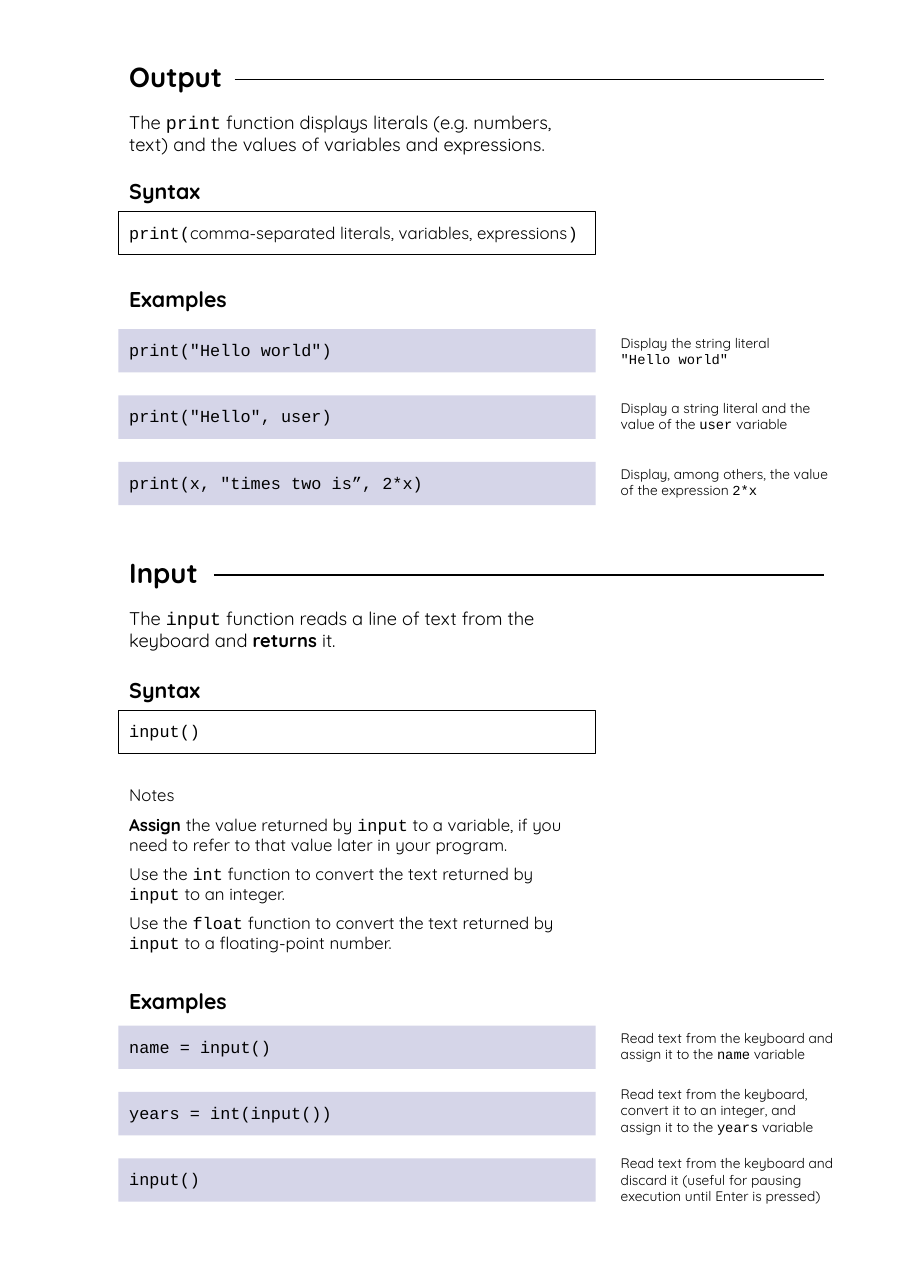
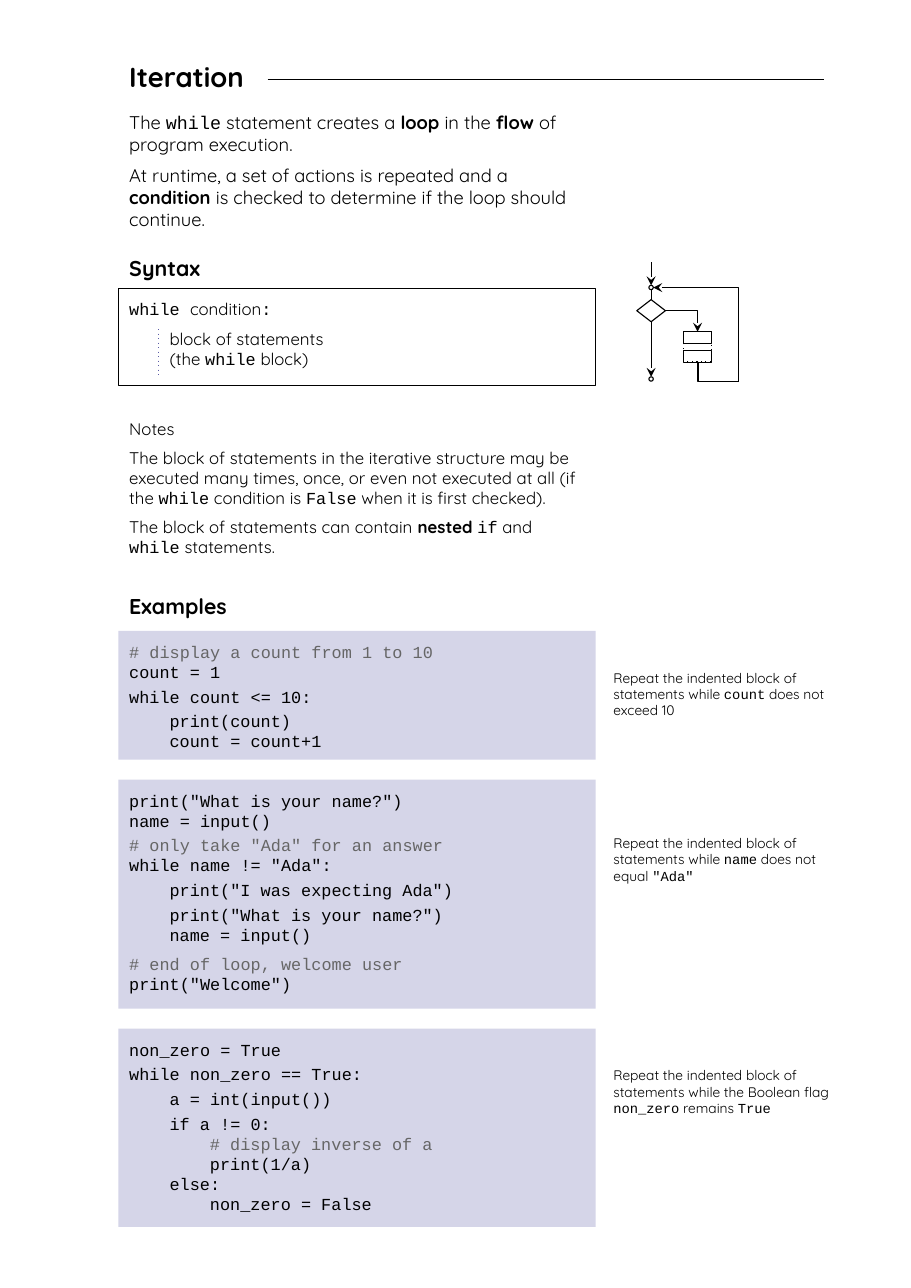
from dataclasses import dataclass

from lxml.etree import SubElement
from pptx import Presentation
from pptx.dml.color import RGBColor
from pptx.enum.shapes import MSO_CONNECTOR, MSO_SHAPE
from pptx.enum.text import MSO_ANCHOR, PP_ALIGN
from pptx.oxml.ns import qn
from pptx.util import Cm, Pt

RECT, OVAL, DECISION = MSO_SHAPE.RECTANGLE, MSO_SHAPE.OVAL, MSO_SHAPE.FLOWCHART_DECISION
STRAIGHT, ELBOW = MSO_CONNECTOR.STRAIGHT, MSO_CONNECTOR.ELBOW
TOP, LEFT = MSO_ANCHOR.TOP, PP_ALIGN.LEFT

INK, COMMENT, ACCENT, PAPER = "000000", "666666", "5B5BA5", "FFFFFF"
SANS, MONO = "Quicksand", "Courier New"
LINE_PITCH = 1.19
LINE_WIDTH = 0.75

# Shared layout, in centimetres
COLUMN_LEFT, COLUMN_WIDTH = 2.73, 11.0
SIDE_WIDTH, SIDE_HEIGHT = 5.51, 1.5
RULE_RIGHT, RULE_DROP = 19.0, 0.64
HEADING_HEIGHT, SYNTAX_HEADING_RISE = 0.7, 0.76
INDENT = 0.93
SINGLE_LINE = 1.0


@dataclass
class Para:
    """Text in which `x` is code and **x** is bold."""
    text: str
    size: float = 11
    before: float = 0
    level: int = 0
    bold: bool = False
    color: str = INK


@dataclass
class Example:
    top: float
    code: list[tuple[str, int]]  # source line, space before
    side_top: float
    side: list[str]
    height: float = SINGLE_LINE


@dataclass
class Section:
    title: str
    top: float
    rule_left: float
    intro: list[str]
    intro_height: float
    syntax: list[Para]
    syntax_top: float
    examples_top: float
    examples: list[Example]
    side_left: float
    syntax_height: float = SINGLE_LINE
    remarks: tuple[str, ...] = ()
    remarks_top: float = 0
    remarks_height: float = 0


def rgb(color: str) -> RGBColor:
    return RGBColor.from_string(color)


def set_line(item, color: str, dotted: bool = False, arrow: bool = False) -> None:
    item.line.color.rgb = rgb(color)
    item.line.width = Pt(LINE_WIDTH)
    ln = item._element.spPr.find(qn("a:ln"))
    if dotted:
        SubElement(ln, qn("a:prstDash"), val="dot")
    if arrow:
        SubElement(ln, qn("a:tailEnd"), type="stealth")


def add_box(slide, left: float, top: float, width: float, height: float, kind=RECT,
            fill: str | None = None, alpha: int = 100, line: str | None = None,
            dotted: bool = False):
    box = slide.shapes.add_shape(kind, Cm(left), Cm(top), Cm(width), Cm(height))
    box.shadow.inherit = False
    if fill:
        box.fill.solid()
        box.fill.fore_color.rgb = rgb(fill)
        if alpha < 100:
            tint = box._element.spPr.find(qn("a:solidFill"))[0]
            SubElement(tint, qn("a:alpha"), val=str(alpha * 1000))
    else:
        box.fill.background()
    if line:
        set_line(box, line, dotted)
    else:
        box.line.fill.background()
    return box


def add_link(slide, x1: float, y1: float, x2: float, y2: float, rotation: int = 0,
             kind=STRAIGHT, color: str = INK, dotted: bool = False,
             arrow: bool = False) -> None:
    link = slide.shapes.add_connector(kind, Cm(x1), Cm(y1), Cm(x2), Cm(y2))
    set_line(link, color, dotted, arrow)
    properties = link._element.spPr
    if kind == ELBOW:
        properties.find(qn("a:prstGeom")).set("prst", "bentConnector2")
        properties.find(qn("a:xfrm")).set("rot", str(rotation * 60000))
    SubElement(properties, qn("a:effectLst"))


def split_runs(text: str) -> list[tuple[str, str, bool]]:
    """Return (text, font, bold) for each stretch of marked text."""
    runs = []
    for i, stretch in enumerate(text.split("`")):
        if i % 2:
            runs.append((stretch, MONO, False))
        else:
            runs += [(part, SANS, j % 2 == 1) for j, part in enumerate(stretch.split("**"))]
    return [run for run in runs if run[0]]


def write(box, paras: list[Para], inset_top: float, inset_bottom: float = 0) -> None:
    frame = box.text_frame
    frame.word_wrap = True
    frame.vertical_anchor = TOP
    frame.margin_left = frame.margin_right = Cm(0.25)
    frame.margin_top, frame.margin_bottom = Cm(inset_top), Cm(inset_bottom)
    for i, para in enumerate(paras):
        paragraph = frame.add_paragraph() if i else frame.paragraphs[0]
        paragraph.alignment = LEFT
        paragraph.space_before = Pt(para.before)
        paragraph.line_spacing = Pt(round(para.size * LINE_PITCH, 1))
        if para.level:
            indent = Cm(INDENT * para.level)
            paragraph._p.get_or_add_pPr().set("marL", str(indent))
        for text, font, bold in split_runs(para.text):
            run = paragraph.add_run()
            run.text = text
            run.font.name = font
            run.font.size = Pt(para.size)
            run.font.bold = bold or para.bold
            run.font.color.rgb = rgb(para.color)


def code_para(source: str, before: int) -> Para:
    code = source.lstrip()
    return Para(f"`{code}`", before=before, level=(len(source) - len(code)) // 4,
                color=COMMENT if code.startswith("#") else INK)


def add_heading(slide, text: str, top: float) -> None:
    box = add_box(slide, COLUMN_LEFT, top, COLUMN_WIDTH, HEADING_HEIGHT, fill=PAPER)
    write(box, [Para(text, 14, bold=True)], 0)


def add_prose(slide, top: float, height: float, paras: list[Para]) -> None:
    write(add_box(slide, COLUMN_LEFT, top, COLUMN_WIDTH, height), paras, 0.2)


def add_example(slide, example: Example, side_left: float) -> None:
    block = add_box(slide, COLUMN_LEFT, example.top, COLUMN_WIDTH, example.height,
                    fill=ACCENT, alpha=25)
    write(block, [code_para(*line) for line in example.code], 0.25, 0.25)
    side = add_box(slide, side_left, example.side_top, SIDE_WIDTH, SIDE_HEIGHT)
    write(side, [Para(text, 9) for text in example.side], 0.2)


def add_section(slide, section: Section) -> None:
    # Title, rule and introduction
    intro = [Para(text, 12, 6 if i else 12) for i, text in enumerate(section.intro)]
    add_prose(slide, section.top, section.intro_height,
              [Para(section.title, 18, bold=True)] + intro)
    rule_y = section.top + RULE_DROP
    add_link(slide, section.rule_left, rule_y, RULE_RIGHT, rule_y)
    # Syntax
    add_heading(slide, "Syntax", section.syntax_top - SYNTAX_HEADING_RISE)
    syntax = add_box(slide, COLUMN_LEFT, section.syntax_top, COLUMN_WIDTH,
                     section.syntax_height, line=INK)
    write(syntax, section.syntax, 0.25, 0.25)
    # Remarks
    if section.remarks:
        add_prose(slide, section.remarks_top, section.remarks_height,
                  [Para("Notes")] + [Para(text, before=6) for text in section.remarks])
    # Examples
    add_heading(slide, "Examples", section.examples_top)
    for example in section.examples:
        add_example(slide, example, section.side_left)


def add_loop_flowchart(slide) -> None:
    axis, dot, width, bar = 15.01, 0.1, 0.66, 0.28
    block_left, block_top = 15.75, 7.65
    # Nodes
    for top in (6.58, 8.69):
        add_box(slide, axis - dot / 2, top, dot, dot, OVAL, line=INK)
    add_box(slide, axis - width / 2, 6.91, width, 0.51, DECISION, line=INK)
    add_box(slide, block_left, block_top, width, 0.69, line=INK, dotted=True)
    for top in (block_top, block_top + 0.43):
        add_box(slide, block_left, top, width, bar, line=INK)
    # Flow down the axis
    for start, end, arrow in ((6.05, 6.58, True), (6.68, 6.91, False), (7.42, 8.69, True)):
        add_link(slide, axis, start, axis, end, arrow=arrow)
    # Into the block, out of it, and back to the top
    for x1, y1, x2, y2, rotation, arrow in ((15.34, 7.16, 16.08, 7.65, 0, True),
                                            (16.79, 8.1, 16.33, 9.04, 270, False),
                                            (17.12, 6.73, 14.96, 8.69, 90, True)):
        add_link(slide, x1, y1, x2, y2, rotation, ELBOW, arrow=arrow)


OUTPUT = Section(
    "Output", 1.19, 5.41,
    ["The `print` function displays literals (e.g. numbers, text) and the values of "
     "variables and expressions."], 2.74,
    [Para("`print(`comma-separated literals, variables, expressions`)`")], 4.88, 6.6,
    [Example(7.59, [('print("Hello world")', 0)], 7.52,
             ["Display the string literal", '`"Hello world"`']),
     Example(9.12, [('print("Hello", user)', 0)], 9.02,
             ["Display a string literal and the value of the `user` variable"]),
     Example(10.65, [('print(x, "times two is”, 2*x)', 0)], 10.54,
             ["Display, among others, the value of the expression `2*x`"])],
    14.06)

INPUT = Section(
    "Input", 12.62, 4.93,
    ["The `input` function reads a line of text from the keyboard and **returns **it."], 2.74,
    [Para("`input()`")], 16.38, 22.78,
    [Example(23.65, [("name = input()", 0)], 23.55,
             ["Read text from the keyboard and assign it to the `name` variable"]),
     Example(25.18, [("years = int(input())", 0)], 24.84,
             ["Read text from the keyboard, convert it to an integer, and assign it to "
              "the `years` variable"]),
     Example(26.71, [("input()", 0)], 26.44,
             ["Read text from the keyboard and discard it (useful for pausing execution "
              "until Enter is pressed)"])],
    14.06,
    remarks=("**Assign **the value returned by `input` to a variable, if you need to refer "
             "to that value later in your program.",
             "Use the `int` function to convert the text returned by `input` to an integer.",
             "Use the `float` function to convert the text returned by `input` to a "
             "floating-point number."),
    remarks_top=17.91, remarks_height=4.45)

ITERATION = Section(
    "Iteration", 1.19, 6.17,
    ["The `while` statement creates a **loop **in the **flow **of program execution.",
     "At runtime, a set of actions is repeated and a **condition **is checked to "
     "determine if the loop should continue."], 4.45,
    [Para("`while `condition`:`"), Para("block of statements", before=6, level=1),
     Para("(the `while` block)", level=1)], 6.65, 13.67,
    [Example(14.55, [("# display a count from 1 to 10", 0), ("count = 1", 0),
                     ("while count <= 10:", 3), ("    print(count)", 3),
                     ("    count = count+1", 0)], 15.24,
             ["Repeat the indented block of statements while `count` does not exceed 10"],
             2.97),
     Example(17.98, [('print("What is your name?")', 0), ("name = input()", 0),
                     ('# only take "Ada" for an answer', 3), ('while name != "Ada":', 0),
                     ('    print("I was expecting Ada")', 3),
                     ('    print("What is your name?")', 3), ("    name = input()", 0),
                     ("# end of loop, welcome user", 6), ('print("Welcome")', 0)], 19.05,
             ['Repeat the indented block of statements while `name` does not equal `"Ada"`'],
             5.28),
     Example(23.72, [("non_zero = True", 0), ("while non_zero == True:", 3),
                     ("    a = int(input())", 3), ("    if a != 0:", 3),
                     ("        # display inverse of a", 0), ("        print(1/a)", 0),
                     ("    else:", 0), ("        non_zero = False", 0)], 24.41,
             ["Repeat the indented block of statements while the Boolean flag `non_zero` "
              "remains `True`"], 4.57)],
    13.89, syntax_height=2.24,
    remarks=("The block of statements in the iterative structure may be executed many times, "
             "once, or even not executed at all (if the `while` condition is `False` when it "
             "is first checked).",
             "The block of statements can contain **nested **`if` and `while` statements."),
    remarks_top=9.45, remarks_height=3.91)


def main() -> None:
    deck = Presentation()
    deck.slide_width, deck.slide_height = Cm(21), Cm(29.7)
    blank = deck.slide_layouts[6]

    # Output and input
    basics = deck.slides.add_slide(blank)
    for section in (OUTPUT, INPUT):
        add_section(basics, section)

    # Iteration
    loops = deck.slides.add_slide(blank)
    add_section(loops, ITERATION)
    add_link(loops, 3.66, 7.59, 3.66, 8.64, color=ACCENT, dotted=True)
    add_loop_flowchart(loops)

    deck.save("out.pptx")


if __name__ == "__main__":
    main()
